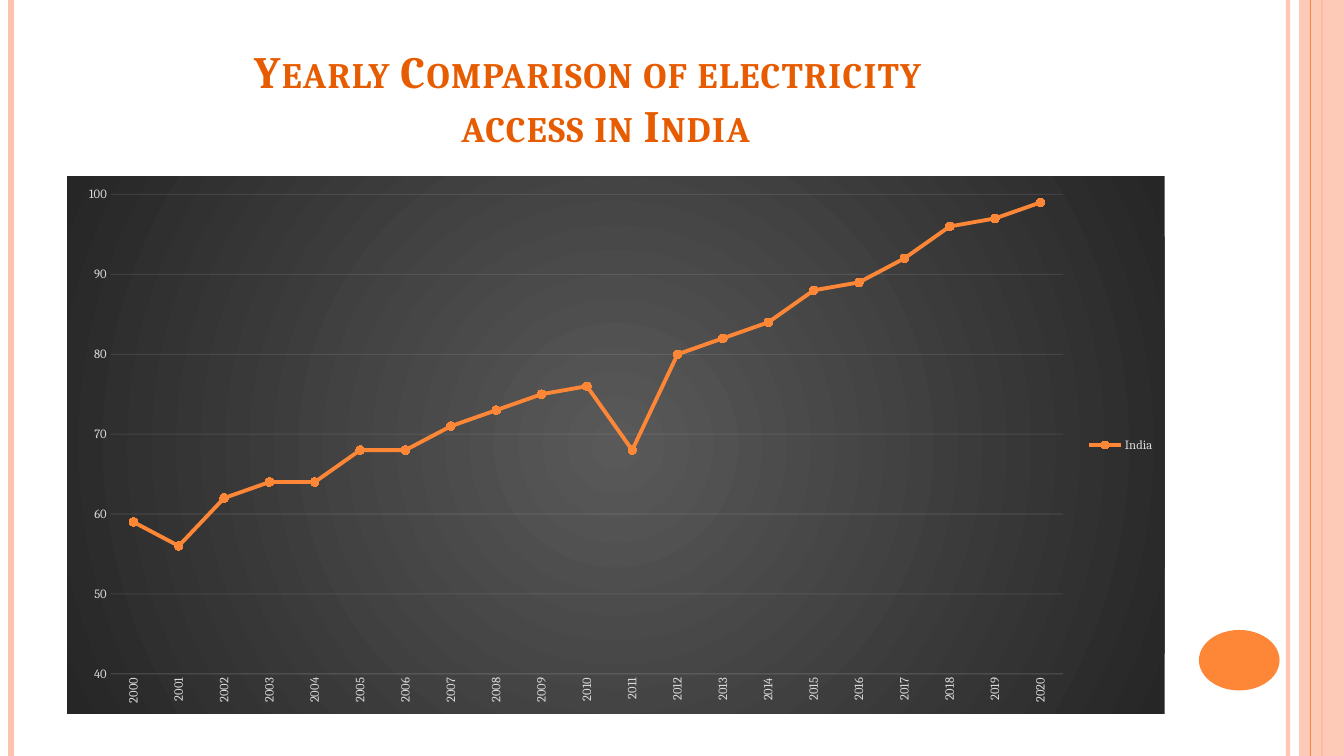
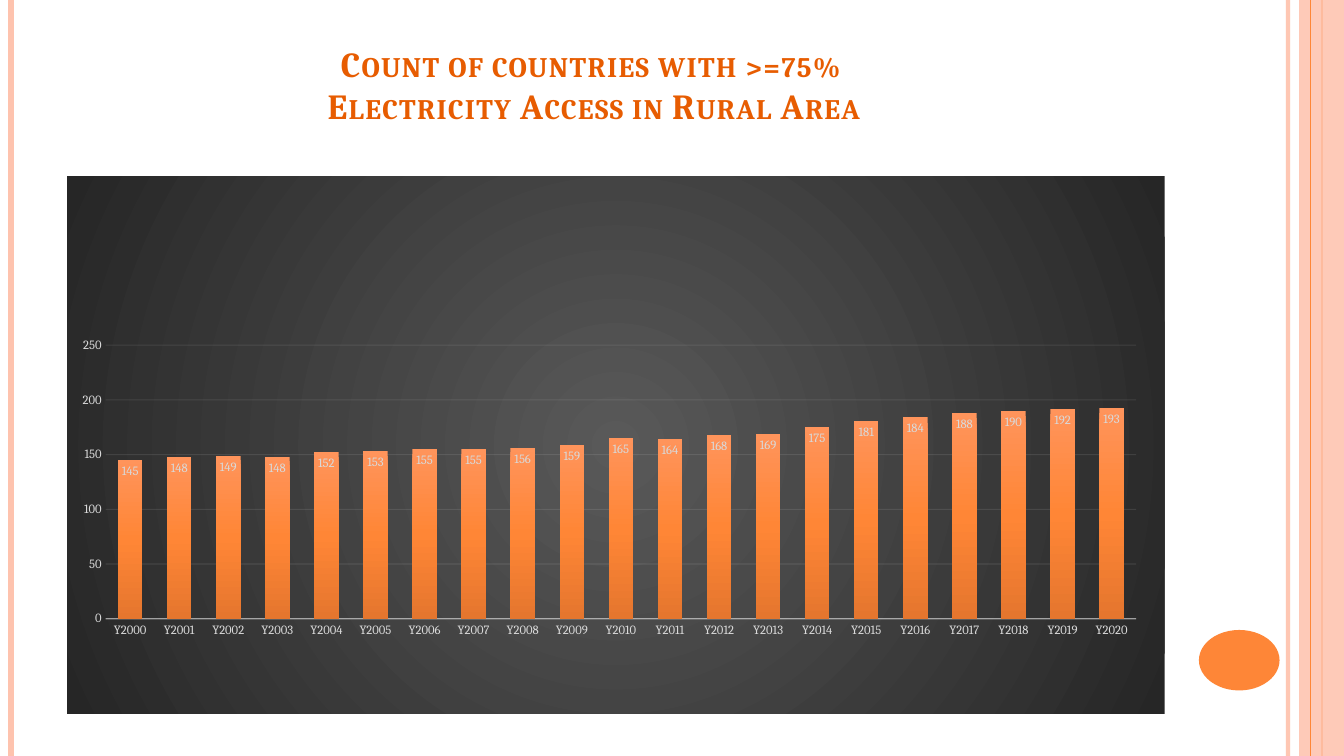
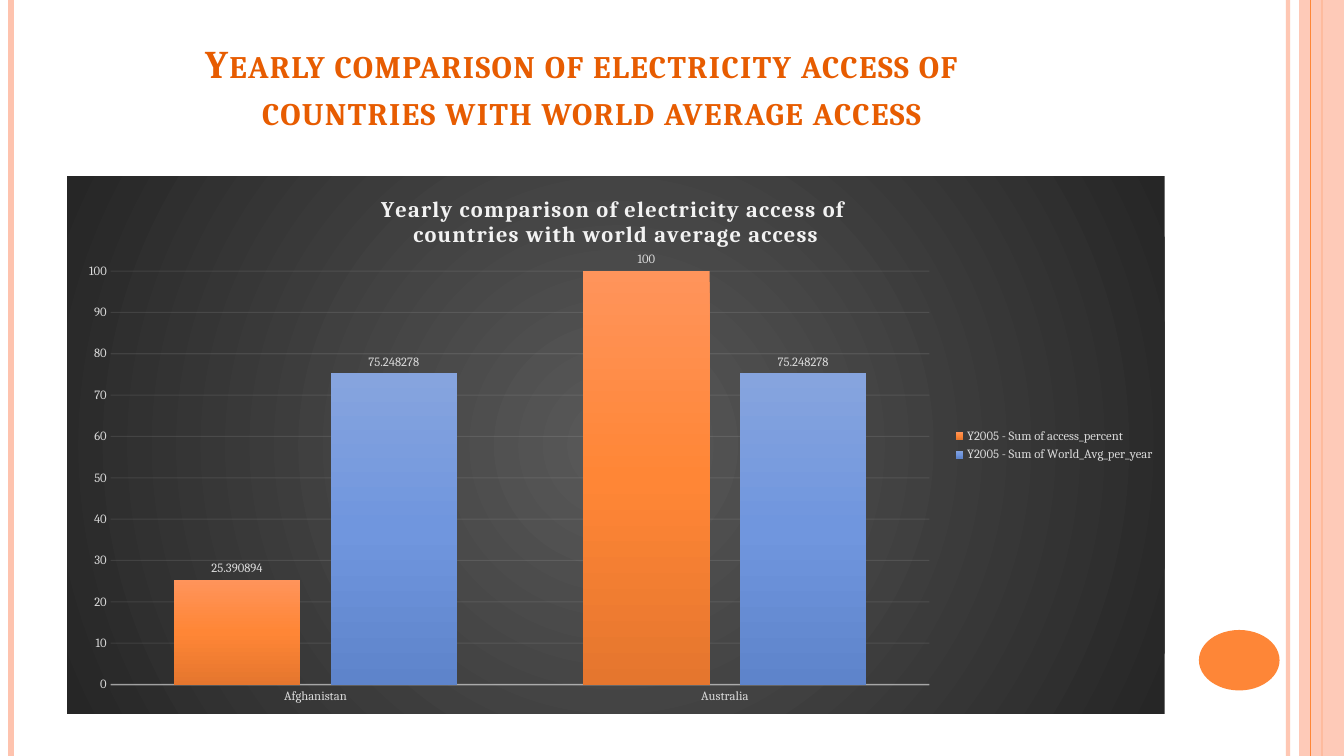
from dataclasses import dataclass

from lxml import etree
from pptx import Presentation
from pptx.chart.data import CategoryChartData
from pptx.dml.color import RGBColor
from pptx.enum.chart import XL_CHART_TYPE, XL_LABEL_POSITION, XL_LEGEND_POSITION, XL_MARKER_STYLE, XL_TICK_MARK
from pptx.enum.shapes import MSO_CONNECTOR, MSO_SHAPE
from pptx.enum.text import MSO_ANCHOR, MSO_AUTO_SIZE, PP_ALIGN
from pptx.oxml import parse_xml
from pptx.oxml.ns import qn
from pptx.util import Pt

LINE_CHART = XL_CHART_TYPE.LINE_MARKERS
COLUMN_CHART = XL_CHART_TYPE.COLUMN_CLUSTERED
INSIDE_END = XL_LABEL_POSITION.INSIDE_END
OUTSIDE_END = XL_LABEL_POSITION.OUTSIDE_END
LEGEND_RIGHT = XL_LEGEND_POSITION.RIGHT
CIRCLE = XL_MARKER_STYLE.CIRCLE
NO_TICK = XL_TICK_MARK.NONE
STRAIGHT = MSO_CONNECTOR.STRAIGHT
RECTANGLE = MSO_SHAPE.RECTANGLE
OVAL = MSO_SHAPE.OVAL
BOTTOM = MSO_ANCHOR.BOTTOM
NO_AUTOFIT = MSO_AUTO_SIZE.NONE
CENTER = PP_ALIGN.CENTER

NS_A = "http://schemas.openxmlformats.org/drawingml/2006/main"
NS_C = "http://schemas.openxmlformats.org/drawingml/2006/chart"


@dataclass(frozen=True)
class Theme:
    font: str = "Cambria"
    title: str = "E75C01"
    accent: str = "FE8637"
    band: str = "FEC3AE"
    marker: str = "FF8636"
    chart_text: str = "D9D9D9"
    chart_line: str = "F2F2F2"
    panel: tuple = ((0, "595959"), (100, "262626"))
    orange: tuple = ((0, "FF945B"), (50, "FF8636"), (100, "E5762E"))
    blue: tuple = ((0, "86A4DE"), (50, "7096DE"), (100, "5E84CB"))
    large_title: float = 32
    medium_title: float = 28
    small_title: float = 25.2
    chart_title_size: float = 16
    chart_size: float = 10
    label_size: float = 9


THEME = Theme()
WIDTH, HEIGHT = 960, 540
CONTENT_LEFT, CONTENT_WIDTH = 48, 784
CHART_TOP, CHART_HEIGHT = 126, 384


def set_alpha(owner, percent):
    for color in owner.iter(qn("a:srgbClr")):
        etree.SubElement(color, qn("a:alpha")).set("val", str(percent * 1000))


def style_line(line, color, width, alpha=100):
    line.color.rgb = RGBColor.from_string(color)
    line.width = Pt(width)
    if alpha < 100:
        set_alpha(line.fill._xPr, alpha)


def gradient_fill(stops, direction):
    marks = "".join(
        f'<a:gs pos="{position * 1000}"><a:srgbClr val="{color}"/></a:gs>' for position, color in stops
    )
    return parse_xml(f'<a:gradFill xmlns:a="{NS_A}" rotWithShape="1"><a:gsLst>{marks}</a:gsLst>{direction}</a:gradFill>')


def style_font(font, size, color, bold=False):
    font.name = THEME.font
    font.size = Pt(size)
    font.bold = bold
    font.color.rgb = RGBColor.from_string(color)


def write_text(frame, text, *, size, color, bold=True, small_caps=False, spacing=1):
    paragraph = frame.paragraphs[0]
    paragraph.text = text
    paragraph.alignment = CENTER
    for run in paragraph.runs:
        style_font(run.font, size, color, bold)
        properties = run.font._element
        properties.set("spc", str(spacing * 100))
        if small_caps:
            properties.set("cap", "small")


def add_rule(slide, x, color, width, alpha=100):
    rule = slide.shapes.add_connector(STRAIGHT, Pt(x), 0, Pt(x), Pt(HEIGHT))
    style_line(rule.line, color, width, alpha)
    etree.SubElement(rule.element.spPr, qn("a:effectLst"))
    return rule


def add_block(slide, kind, left, top, width, height, color, alpha=100):
    block = slide.shapes.add_shape(kind, Pt(left), Pt(top), Pt(width), Pt(height))
    block.shadow.inherit = False
    block.fill.solid()
    block.fill.fore_color.rgb = RGBColor.from_string(color)
    block.line.fill.background()
    if alpha < 100:
        set_alpha(block.element.spPr, alpha)
    return block


def move_frame_to_layout(slide):
    frame = [
        add_rule(slide, 920, THEME.band, 3, 93),
        add_rule(slide, 8, THEME.band, 4.5),
        add_rule(slide, 944, THEME.accent, 1.5),
        add_block(slide, RECTANGLE, 928, 0, 32, HEIGHT, THEME.band, 87),
        add_rule(slide, 936, THEME.accent, 0.75),
        add_block(slide, OVAL, 856.4, 450, 57.6, 43.2, THEME.accent),
    ]
    for part in frame:
        slide.slide_layout.shapes.element.append(part.element)


def add_titled_slide(deck, heading, size, top=21.6, height=90, space_below=3.6):
    slide = deck.slides.add_slide(deck.slide_layouts[5])
    title = slide.shapes.title
    title.left, title.top = Pt(CONTENT_LEFT), Pt(top)
    title.width, title.height = Pt(CONTENT_WIDTH), Pt(height)
    frame = title.text_frame
    frame.auto_size = NO_AUTOFIT
    frame.word_wrap = True
    frame.vertical_anchor = BOTTOM
    frame.margin_top = 0
    frame.margin_bottom = Pt(space_below)
    write_text(frame, heading, size=size, color=THEME.title, small_caps=True)
    return slide


def style_axes(chart, low, high, step, line_width, line_alpha):
    categories, values = chart.category_axis, chart.value_axis
    for axis in (categories, values):
        axis.major_tick_mark = axis.minor_tick_mark = NO_TICK
        style_font(axis.tick_labels.font, THEME.label_size, THEME.chart_text)
    style_line(categories.format.line, THEME.chart_line, line_width, line_alpha)
    values.format.line.fill.background()
    values.minimum_scale, values.maximum_scale, values.major_unit = low, high, step
    values.has_major_gridlines = True
    style_line(values.major_gridlines.format.line, THEME.chart_line, 0.75, 10)


def add_panel_chart(slide, kind, categories, series, scale, *, axis_line=(1, 54), legend=True, title=None):
    data = CategoryChartData()
    data.categories = categories
    for name, values in series:
        data.add_series(name, values)
    chart = slide.shapes.add_chart(
        kind, Pt(CONTENT_LEFT), Pt(CHART_TOP), Pt(CONTENT_WIDTH), Pt(CHART_HEIGHT), data
    ).chart
    chart.font.name = THEME.font
    chart.font.size = Pt(THEME.chart_size)
    panel = parse_xml(f'<c:spPr xmlns:c="{NS_C}" xmlns:a="{NS_A}"><a:ln><a:noFill/></a:ln></c:spPr>')
    center = '<a:path path="circle"><a:fillToRect l="50000" t="50000" r="50000" b="50000"/></a:path>'
    panel.insert(0, gradient_fill(THEME.panel, center))
    chart.element.find(qn("c:txPr")).addprevious(panel)
    style_axes(chart, *scale, *axis_line)
    chart.has_legend = legend
    if legend:
        chart.legend.position = LEGEND_RIGHT
        chart.legend.include_in_layout = False
        style_font(chart.legend.font, THEME.label_size, THEME.chart_text)
    chart.has_title = title is not None
    if title:
        write_text(chart.chart_title.text_frame, title, size=THEME.chart_title_size, color=THEME.chart_line)
        chart.chart_title.include_in_layout = False
    return chart


def style_columns(chart, gradients, label_position):
    plot = chart.plots[0]
    plot.vary_by_categories = False
    plot.gap_width, plot.overlap = 100, -24
    for column, stops in zip(plot.series, gradients):
        column.format.fill.background()
        fill = column.format.fill._xPr
        fill.replace(fill.find(qn("a:noFill")), gradient_fill(stops, '<a:lin ang="5400000" scaled="0"/>'))
        labels = column.data_labels
        labels.show_value = True
        labels.position = label_position
        style_font(labels.font, THEME.label_size, THEME.chart_text)


def style_trend(chart):
    plot = chart.plots[0]
    plot.vary_by_categories = False
    trend = plot.series[0]
    trend.smooth = False
    style_line(trend.format.line, THEME.accent, 2.75)
    trend.marker.style, trend.marker.size = CIRCLE, 6
    trend.marker.format.fill.solid()
    trend.marker.format.fill.fore_color.rgb = RGBColor.from_string(THEME.marker)
    style_line(trend.marker.format.line, THEME.marker, 0.75)
    chart.category_axis._element.find(qn("c:txPr")).find(qn("a:bodyPr")).set("rot", "-5400000")


def place_plot(chart, x, y, w, h):
    sizes = "".join(f'<c:{side} val="{value}"/>' for side, value in zip("xywh", (x, y, w, h)))
    layout = parse_xml(
        f'<c:layout xmlns:c="{NS_C}"><c:manualLayout><c:layoutTarget val="inner"/>'
        f'<c:xMode val="edge"/><c:yMode val="edge"/>{sizes}</c:manualLayout></c:layout>'
    )
    area = chart.element.find(".//" + qn("c:plotArea"))
    for automatic in area.findall(qn("c:layout")):
        area.remove(automatic)
    area.insert(0, layout)


def main():
    deck = Presentation()
    deck.slide_width, deck.slide_height = Pt(WIDTH), Pt(HEIGHT)
    years = range(2000, 2021)

    india = add_titled_slide(deck, "Yearly Comparison of electricity \vaccess in India", THEME.large_title)
    move_frame_to_layout(india)
    access = (59, 56, 62, 64, 64, 68, 68, 71, 73, 75, 76, 68, 80, 82, 84, 88, 89, 92, 96, 97, 99)
    style_trend(add_panel_chart(
        india, LINE_CHART, [str(year) for year in years], [("India", access)], (40, 100, 10), axis_line=(0.75, 10)
    ))

    rural = add_titled_slide(
        deck, "Count of countries with >=75% \vElectricity Access in Rural Area", THEME.small_title, space_below=21
    )
    counts = (145, 148, 149, 148, 152, 153, 155, 155, 156, 159, 165,
              164, 168, 169, 175, 181, 184, 188, 190, 192, 193)
    rural_chart = add_panel_chart(
        rural, COLUMN_CHART, [f"Y{year}" for year in years], [("Series 1", counts)], (0, 250, 50), legend=False
    )
    style_columns(rural_chart, [THEME.orange], INSIDE_END)
    place_plot(rural_chart, 0.035, 0.314, 0.939, 0.509)

    comparison = "Yearly comparison of electricity access of \vcountries with world average access"
    world = add_titled_slide(deck, comparison, THEME.medium_title, top=12, height=120, space_below=36.5)
    world_chart = add_panel_chart(
        world, COLUMN_CHART, ["Afghanistan", "Australia"],
        [("Y2005 - Sum of access_percent", (25.390894, 100)),
         ("Y2005 - Sum of World_Avg_per_year", (75.248278, 75.248278))],
        (0, 100, 10), title=comparison,
    )
    style_columns(world_chart, [THEME.orange, THEME.blue], OUTSIDE_END)

    deck.save("out.pptx")


main()
